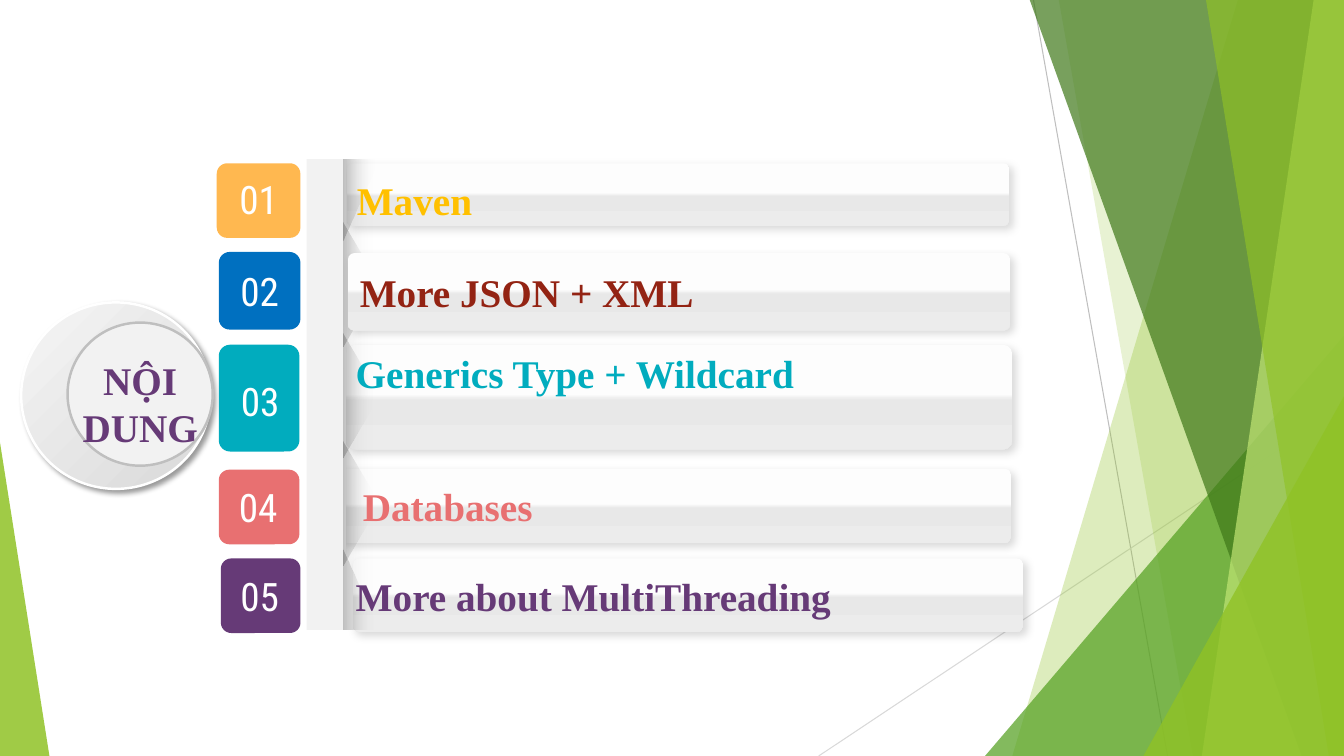
from dataclasses import dataclass

from lxml import etree
from pptx import Presentation
from pptx.dml.color import RGBColor
from pptx.enum.shapes import MSO_CONNECTOR, MSO_SHAPE
from pptx.enum.text import MSO_ANCHOR, MSO_AUTO_SIZE, PP_ALIGN
from pptx.oxml.ns import qn
from pptx.util import Pt

PX = 9144
WIDTH, HEIGHT = 1333, 750
SERIF, CONDENSED = "Times New Roman", "Roboto Condensed"

WHITE = RGBColor(0xFF, 0xFF, 0xFF)
BLACK = RGBColor(0x00, 0x00, 0x00)
PALE = RGBColor(0xF2, 0xF2, 0xF2)
SILVER = RGBColor(0xBF, 0xBF, 0xBF)
MIST = RGBColor(0xD9, 0xD9, 0xD9)
SNOW = RGBColor(0xF5, 0xF5, 0xF5)
BAR_LIGHT = RGBColor(0xFD, 0xFD, 0xFD)
BAR_MID = RGBColor(0xE8, 0xE8, 0xE8)
BAR_LOW = RGBColor(0xEC, 0xEC, 0xEC)
LEAF = RGBColor(0x90, 0xC2, 0x26)
GRASS = RGBColor(0x54, 0xA0, 0x21)
FOREST = RGBColor(0x3F, 0x78, 0x19)
LIME = RGBColor(0xC0, 0xE4, 0x74)
ORANGE = RGBColor(0xFF, 0xB8, 0x50)
AMBER = RGBColor(0xFF, 0xC0, 0x00)
BLUE = RGBColor(0x00, 0x70, 0xC0)
BRICK = RGBColor(0x93, 0x23, 0x13)
TEAL = RGBColor(0x01, 0xAC, 0xBE)
CORAL = RGBColor(0xE8, 0x70, 0x71)
PURPLE = RGBColor(0x66, 0x3A, 0x77)

Box = tuple[int, int, int, int]
Point = tuple[int, int]


@dataclass(frozen=True)
class Stop:
    pos: int
    color: RGBColor
    alpha: int = 100


@dataclass(frozen=True)
class Shadow:
    alpha: int
    blur: int
    dist: int


@dataclass(frozen=True)
class Facet:
    points: list[Point]
    color: RGBColor
    alpha: int


@dataclass(frozen=True)
class Wedge:
    box: Box
    apex: int
    color: RGBColor
    alpha: int


@dataclass(frozen=True)
class Section:
    number: str
    title: str
    badge_color: RGBColor
    title_color: RGBColor
    badge: Box
    bar: Box
    base: Box | None = None
    number_box: Box | None = None
    title_box: Box | None = None


BAR_STOPS = [Stop(47, BAR_LIGHT), Stop(53, BAR_MID), Stop(100, BAR_LOW)]
BAR_SHADOW = Shadow(14, 6, 3)
FOLD_STOPS = [Stop(0, BLACK, 21), Stop(100, PALE, 0)]

SWEEPS = [
    Facet([(1228, -1), (1333, -1), (1333, 750), (1004, 750)], LEAF, 30),
    Facet([(1050, -1), (1333, -1), (1333, 750), (1183, 750)], LEAF, 20),
    Wedge((977, 333, 356, 417), 1, GRASS, 72),
    Facet([(1021, -1), (1333, -1), (1333, 750), (1291, 750)], FOREST, 70),
    Facet([(1303, -1), (1333, -1), (1333, 750), (1192, 750)], LIME, 70),
    Facet([(1196, -1), (1333, -1), (1333, 750), (1318, 750)], LEAF, 65),
    Wedge((1134, 393, 199, 357), 1, LEAF, 80),
    Wedge((0, 439, 49, 311), 0, LEAF, 85),
]

MAVEN = Section("01", "Maven", ORANGE, AMBER, (215, 162, 83, 74), (344, 162, 657, 62),
                (219, 159, 84, 79), (216, 169, 81, 57), (344, 170, 691, 57))
FORMATS = Section("02", "More JSON + XML", BLUE, BRICK, (217, 250, 81, 77), (345, 251, 657, 77))
GENERICS = Section("03", "Generics Type + Wildcard", TEAL, TEAL, (217, 342, 80, 106),
                   (343, 342, 661, 104), (222, 343, 81, 113), (217, 369, 82, 57),
                   (343, 341, 682, 57))
DATABASES = Section("04", "Databases", CORAL, CORAL, (217, 466, 80, 74), (337, 465, 666, 74),
                    (215, 465, 81, 79), (217, 474, 78, 57), (350, 473, 622, 57))
THREADS = Section("05", "More about MultiThreading", PURPLE, PURPLE, (219, 554, 79, 74),
                  (350, 554, 665, 73), (215, 555, 80, 79), (219, 563, 77, 57),
                  (343, 563, 659, 57))

prs = Presentation()
prs.slide_width, prs.slide_height = WIDTH * PX, HEIGHT * PX
shapes = prs.slides.add_slide(prs.slide_layouts[6]).shapes


def emu(box: Box) -> list[int]:
    return [v * PX for v in box]


def add_color(parent, color: RGBColor, alpha: int) -> None:
    clr = etree.SubElement(parent, qn("a:srgbClr"), val=str(color))
    if alpha < 100:
        etree.SubElement(clr, qn("a:alpha"), val=str(alpha * 1000))


def paint(s, stops: list[Stop], angle: int = 0) -> None:
    s.shadow.inherit = False
    s.line.fill.background()
    s.fill.background()
    spPr = s._element.spPr
    if len(stops) == 1:
        fill = etree.Element(qn("a:solidFill"))
        add_color(fill, stops[0].color, stops[0].alpha)
    else:
        fill = etree.Element(qn("a:gradFill"), rotWithShape="1")
        gs_list = etree.SubElement(fill, qn("a:gsLst"))
        for stop in stops:
            gs = etree.SubElement(gs_list, qn("a:gs"), pos=str(stop.pos * 1000))
            add_color(gs, stop.color, stop.alpha)
        etree.SubElement(fill, qn("a:lin"), ang=str(angle * 60000), scaled="0")
    spPr.replace(spPr.find(qn("a:noFill")), fill)


def cast(s, shadow: Shadow) -> None:
    effects = s._element.spPr.find(qn("a:effectLst"))
    outer = etree.SubElement(effects, qn("a:outerShdw"), blurRad=str(Pt(shadow.blur)),
                             dist=str(Pt(shadow.dist)), dir="2700000", algn="tl", rotWithShape="0")
    add_color(outer, BLACK, shadow.alpha)


def add_preset(kind: MSO_SHAPE, box: Box, stops: list[Stop], angle: int = 0,
               adj: float | None = None):
    s = shapes.add_shape(kind, *emu(box))
    if adj is not None:
        s.adjustments[0] = adj
    paint(s, stops, angle)
    return s


def add_polygon(points: list[Point], stops: list[Stop]) -> None:
    builder = shapes.build_freeform(*points[0], scale=PX)
    builder.add_line_segments(points[1:], close=True)
    paint(builder.convert_to_shape(), stops)


def add_line(start: Point, end: Point, color: RGBColor) -> None:
    s = shapes.add_connector(MSO_CONNECTOR.STRAIGHT, *emu(start + end))
    s.line.color.rgb, s.line.width = color, Pt(0.75)
    etree.SubElement(s._element.spPr, qn("a:effectLst"))


def write(s, text: str, font: str, color: RGBColor, align: PP_ALIGN) -> None:
    tf = s.text_frame
    tf.word_wrap, tf.vertical_anchor = True, MSO_ANCHOR.MIDDLE
    p = tf.paragraphs[0]
    p.alignment = align
    r = p.add_run()
    r.text = text
    r.font.name, r.font.size, r.font.color.rgb = font, Pt(28), color
    r.font.bold = font == SERIF


def add_text(box: Box, text: str, font: str, color: RGBColor,
             align: PP_ALIGN = PP_ALIGN.LEFT) -> None:
    s = shapes.add_textbox(*emu(box))
    s.text_frame.auto_size = MSO_AUTO_SIZE.SHAPE_TO_FIT_TEXT
    write(s, text, font, color, align)


def add_badge(sec: Section) -> None:
    if sec.base:
        add_preset(MSO_SHAPE.ROUNDED_RECTANGLE, sec.base, [Stop(0, WHITE)], adj=0.14)
    s = add_preset(MSO_SHAPE.ROUNDED_RECTANGLE, sec.badge, [Stop(0, sec.badge_color)], adj=0.14)
    if sec.number_box:
        add_text(sec.number_box, sec.number, CONDENSED, WHITE, PP_ALIGN.CENTER)
    else:
        write(s, sec.number, CONDENSED, WHITE, PP_ALIGN.CENTER)


def add_bar(sec: Section) -> None:
    s = add_preset(MSO_SHAPE.ROUNDED_RECTANGLE, sec.bar, BAR_STOPS, 90, 0.09)
    cast(s, BAR_SHADOW)
    if not sec.title_box:
        write(s, sec.title, SERIF, sec.title_color, PP_ALIGN.LEFT)


def add_backdrop() -> None:
    add_line((1025, 0), (1158, 750), SILVER)
    add_line((1333, 403), (812, 750), MIST)
    for sweep in SWEEPS:
        stops = [Stop(0, sweep.color, sweep.alpha)]
        if isinstance(sweep, Facet):
            add_polygon(sweep.points, stops)
        else:
            add_preset(MSO_SHAPE.ISOSCELES_TRIANGLE, sweep.box, stops, adj=sweep.apex)


def add_heading() -> None:
    disc = add_preset(MSO_SHAPE.OVAL, (21, 300, 188, 185), [Stop(0, SNOW), Stop(100, MIST)], 45)
    cast(disc, Shadow(40, 4, 3))
    ring = add_preset(MSO_SHAPE.OVAL, (67, 320, 144, 142), [Stop(0, PALE)])
    for s, color in ((disc, WHITE), (ring, SILVER)):
        s.line.color.rgb, s.line.width = color, Pt(1.75)
    add_text((45, 337, 188, 126), "NỘI DUNG", SERIF, PURPLE, PP_ALIGN.CENTER)


def add_rail() -> None:
    add_preset(MSO_SHAPE.RECTANGLE, (341, 158, 30, 467), [Stop(0, BLACK, 8), Stop(100, PALE, 0)])
    add_preset(MSO_SHAPE.RECTANGLE, (304, 158, 39, 467), [Stop(0, PALE)])
    add_polygon([(371, 168), (341, 239), (341, 158), (371, 158)], FOLD_STOPS)
    for top in (267, 377, 485):
        s = add_preset(MSO_SHAPE.TRAPEZOID, (294, top, 123, 30),
                       [Stop(0, PALE, 0), Stop(100, BLACK, 21)], 90, 1.74)
        s.rotation = 90
    add_polygon([(371, 614), (341, 545), (341, 624), (371, 624)], FOLD_STOPS)


def main() -> None:
    add_backdrop()
    add_heading()
    for sec in (MAVEN, GENERICS, DATABASES):
        add_badge(sec)
    boxed = (MAVEN, GENERICS, DATABASES, THREADS)
    for sec in boxed:
        add_bar(sec)
    add_rail()
    for sec in boxed:
        add_text(sec.title_box, sec.title, SERIF, sec.title_color)
    add_badge(THREADS)
    add_badge(FORMATS)
    add_bar(FORMATS)
    prs.save("out.pptx")


if __name__ == "__main__":
    main()
